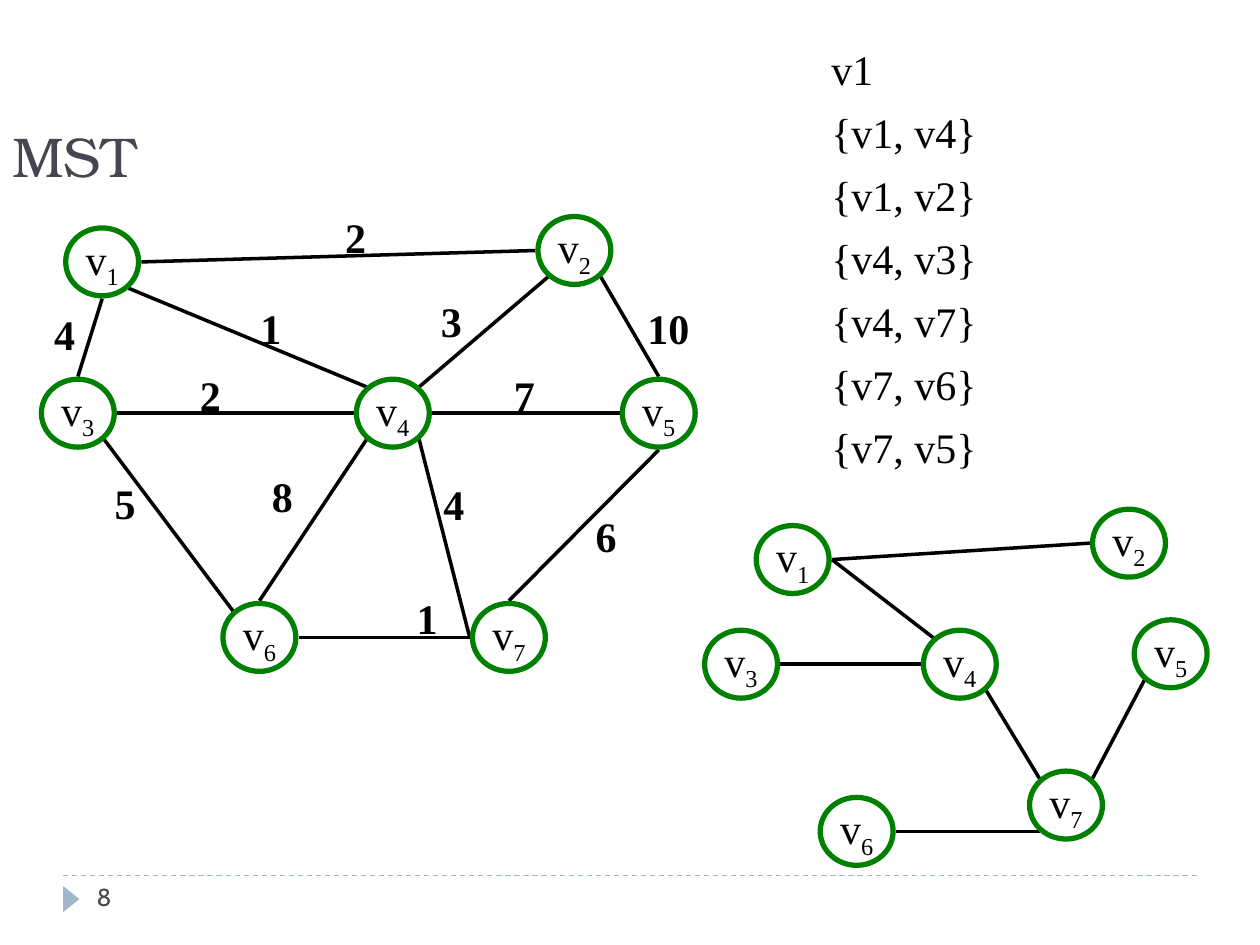
from pptx import Presentation
from pptx.dml.color import RGBColor
from pptx.enum.dml import MSO_LINE_DASH_STYLE as Dash
from pptx.enum.shapes import MSO_CONNECTOR as Connector, MSO_SHAPE as Shape
from pptx.enum.text import MSO_ANCHOR as Anchor, PP_ALIGN as Align
from pptx.oxml.ns import qn
from pptx.util import Cm, Pt
from lxml import etree

# Content: node centres in cm, edges as (node, side, node, side)
GRAPH_NODES = {
    "1": (2.06, 5.28), "2": (11.58, 5.05), "3": (1.57, 8.33), "4": (7.92, 8.33),
    "5": (13.28, 8.33), "6": (5.23, 12.85), "7": (10.26, 12.85),
}
GRAPH_EDGES = [
    ("1", "SE", "4", "NW"), ("4", "SE", "7", "W"), ("4", "E", "5", "W"),
    ("6", "E", "7", "W"), ("1", "S", "3", "N"), ("3", "SE", "6", "NW"),
    ("4", "SW", "6", "N"), ("5", "N", "2", "SE"), ("3", "E", "4", "W"),
    ("2", "W", "1", "E"), ("4", "NE", "2", "SW"), ("7", "N", "5", "S"),
]
TREE_NODES = {
    "1": (15.98, 11.28), "2": (22.76, 10.95), "3": (14.94, 13.39), "4": (19.35, 13.39),
    "5": (23.6, 13.18), "6": (17.27, 16.76), "7": (21.49, 16.23),
}
TREE_EDGES = [
    ("1", "E", "4", "NW"), ("2", "W", "1", "E"), ("3", "E", "4", "W"),
    ("4", "SE", "7", "NW"), ("7", "NE", "5", "SW"), ("6", "E", "7", "SW"),
]
# Edge weights with the top left corner of each label
WEIGHTS = [
    ("2", 3.78, 7.32), ("2", 6.71, 4.14), ("5", 2.06, 9.5), ("4", 0.84, 6.1),
    ("7", 10.11, 7.32), ("1", 5.0, 5.97), ("10", 12.8, 5.97), ("4", 8.69, 9.53),
    ("6", 11.76, 10.16), ("3", 8.64, 5.84), ("8", 5.23, 9.37), ("1", 8.15, 11.81),
]
STEPS = ["v1", "{v1, v4}", "{v1, v2}", "{v4, v3}", "{v4, v7}", "{v7, v6}", "{v7, v5}"]

NODE_WIDTH, NODE_HEIGHT = 1.47, 1.37
SIDE_X, SIDE_Y, CORNER = 0.79, 0.74, 0.53  # where edges meet a node
SERIF = "Times New Roman"
INK, GREEN, SLATE, BLUE = "000000", "008000", "464653", "9FB8CD"

presentation = Presentation()
presentation.slide_width, presentation.slide_height = Cm(25.4), Cm(19.05)
slide = presentation.slides.add_slide(presentation.slide_layouts[6])


def color(value):
    return RGBColor.from_string(value)


def write(frame, lines, size=24, font=SERIF, fill=INK, bold=False, wrap=True,
          anchor=Anchor.TOP, align=Align.LEFT, subscript="", spacing=None, gap=0):
    frame.word_wrap = wrap
    frame.vertical_anchor = anchor
    for index, line in enumerate(lines):
        paragraph = frame.add_paragraph() if index else frame.paragraphs[0]
        paragraph.alignment = align
        if spacing:
            paragraph.line_spacing = spacing
        if index and gap:
            paragraph.space_before = Pt(gap)
        for text in filter(None, (line, subscript)):
            run = paragraph.add_run()
            run.text = text
            run.font.size, run.font.name, run.font.bold = Pt(size), font, bold
            run.font.color.rgb = color(fill)
        if subscript:
            run.font._element.set("baseline", "-25000")


def add_text(lines, left, top, width, height, **style):
    box = slide.shapes.add_textbox(Cm(left), Cm(top), Cm(width), Cm(height))
    write(box.text_frame, lines, **style)


def add_line(start, end, fill=INK, width=2, dash=None):
    line = slide.shapes.add_connector(Connector.STRAIGHT, *map(Cm, start + end))
    line.line.color.rgb = color(fill)
    line.line.width = Pt(width)
    if dash:
        line.line.dash_style = dash
    etree.SubElement(line._element.spPr, qn("a:effectLst"))


def add_node(number, x, y):
    node = slide.shapes.add_shape(
        Shape.OVAL, Cm(x - NODE_WIDTH / 2), Cm(y - NODE_HEIGHT / 2),
        Cm(NODE_WIDTH), Cm(NODE_HEIGHT))
    node.shadow.inherit = False
    node.fill.background()
    node.line.color.rgb = color(GREEN)
    node.line.width = Pt(3)
    write(node.text_frame, ["v"], subscript=number, wrap=False,
          anchor=Anchor.MIDDLE, align=Align.CENTER)


def edge_point(center, side):
    across = ("E" in side) - ("W" in side)
    down = ("S" in side) - ("N" in side)
    reach_x, reach_y = (CORNER, CORNER) if len(side) == 2 else (SIDE_X, SIDE_Y)
    return center[0] + across * reach_x, center[1] + down * reach_y


def add_graph(nodes, edges):
    for first, first_side, second, second_side in edges:
        add_line(edge_point(nodes[first], first_side),
                 edge_point(nodes[second], second_side))
    for number, center in nodes.items():
        add_node(number, *center)


# Footer
add_line((1.27, 17.65), (24.13, 17.65), fill=BLUE, width=0.75, dash=Dash.DASH)
marker = slide.shapes.add_shape(
    Shape.ISOSCELES_TRIANGLE, Cm(1.17), Cm(17.96), Cm(0.53), Cm(0.33))
marker.rotation = 90
marker.shadow.inherit = False
marker.fill.solid()
marker.fill.fore_color.rgb = color(BLUE)
marker.line.fill.background()
add_text(["8"], 1.7, 17.65, 5.5, 1.02, size=14, font="Cabin", fill=SLATE)

# Title
add_text(["MST"], 0, 0.76, 22.86, 3.18, size=32, font="TeX Gyre Bonum",
         fill=SLATE, anchor=Anchor.BOTTOM)

# Weighted graph, order of choices and resulting tree
add_graph(GRAPH_NODES, GRAPH_EDGES)
for weight, left, top in WEIGHTS:
    add_text([weight], left, top, 0.53 + 0.41 * len(weight), 1.27, bold=True, wrap=False)
add_text(STEPS, 16.51, 0.94, 7.62, 7.54, spacing=0.8, gap=13)
add_graph(TREE_NODES, TREE_EDGES)

presentation.save("out.pptx")
